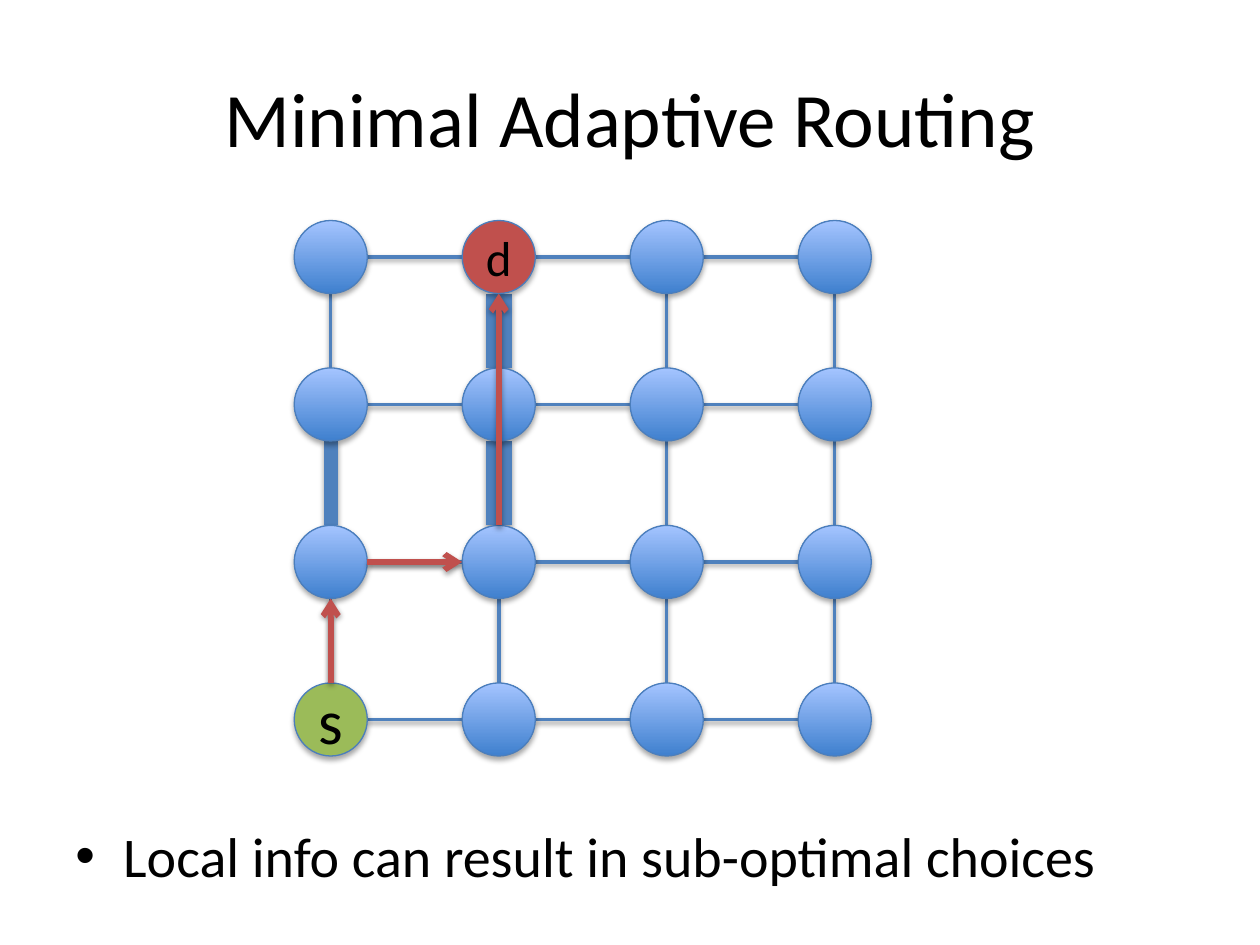
import pptx
import pptx.util
import pptx.oxml
import pptx.oxml.ns
import pptx.dml.color
import pptx.enum.shapes
import pptx.enum.text

Inches, Pt = pptx.util.Inches, pptx.util.Pt
ALIGN = pptx.enum.text.PP_ALIGN
ANCHOR = pptx.enum.text.MSO_ANCHOR

TITLE = "Minimal Adaptive Routing"
TAKEAWAY = "Local info can result in sub-optimal choices"
FONT = "Calibri"
BLACK, LINK, ROUTE, NODE_EDGE = "000000", "4F81BD", "C0504D", "4B7EBC"
NODE_GRADIENT = ("3F80CE", "A4C4FF")

COLUMN_X = [2.625 + 4 / 3 * column for column in range(4)]
ROW_Y = [2.04, 3.21, 4.46, 5.71]
DIAMETER = 0.58
RADIUS = DIAMETER / 2

ENDPOINTS = {(1, 0): ("d", 28, "C0504D"), (0, 3): ("s", 36, "9BBB59")}
CONGESTED = {((0, 1), (0, 2)): 8, ((1, 0), (1, 1)): 15, ((1, 1), (1, 2)): 15}
ROUTE_HOPS = [((0, 3), (0, 2)), ((0, 2), (1, 2)), ((1, 2), (1, 0))]


def rgb(value):
    return pptx.dml.color.RGBColor.from_string(value)


def append_xml(parent, tag, attributes="", content=""):
    namespace = pptx.oxml.ns.nsdecls("a")
    child = pptx.oxml.parse_xml(f"<a:{tag} {namespace} {attributes}>{content}</a:{tag}>")
    parent.append(child)
    return child


def add_shadow(effects, opacity, distance):
    append_xml(effects, "outerShdw",
               f'blurRad="{Pt(3.1)}" dist="{Pt(distance)}" dir="5400000" rotWithShape="0"',
               f'<a:srgbClr val="{BLACK}"><a:alpha val="{opacity * 1000}"/></a:srgbClr>')


def write(frame, text, size, align, anchor):
    frame.word_wrap = True
    frame.vertical_anchor = anchor
    paragraph = frame.paragraphs[0]
    paragraph.text = text
    paragraph.alignment = align
    font = paragraph.runs[0].font
    font.name, font.size, font.color.rgb = FONT, Pt(size), rgb(BLACK)
    return paragraph


def add_text(slide, box, text, size, align, anchor):
    frame = slide.shapes.add_textbox(*map(Inches, box)).text_frame
    return write(frame, text, size, align, anchor)


def add_bullet(paragraph):
    properties = paragraph._p.get_or_add_pPr()
    properties.set("marL", str(Inches(0.38)))
    properties.set("indent", str(-Inches(0.38)))
    append_xml(properties, "buFont", 'typeface="Arial"')
    append_xml(properties, "buChar", 'char="•"')


def add_link(slide, start, end, color, width, arrow=False):
    dx = (end[0] > start[0]) - (end[0] < start[0])
    dy = (end[1] > start[1]) - (end[1] < start[1])
    link = slide.shapes.add_connector(
        pptx.enum.shapes.MSO_CONNECTOR.STRAIGHT,
        Inches(COLUMN_X[start[0]] + dx * RADIUS), Inches(ROW_Y[start[1]] + dy * RADIUS),
        Inches(COLUMN_X[end[0]] - dx * RADIUS), Inches(ROW_Y[end[1]] - dy * RADIUS))
    link.line.color.rgb = rgb(color)
    link.line.width = Pt(width)
    properties = link._element.spPr
    if arrow:
        append_xml(properties.find(pptx.oxml.ns.qn("a:ln")), "tailEnd", 'type="arrow"')
    add_shadow(append_xml(properties, "effectLst"), 38, 1.6)


def add_node(slide, position):
    column, row = position
    node = slide.shapes.add_shape(
        pptx.enum.shapes.MSO_SHAPE.OVAL,
        Inches(COLUMN_X[column] - RADIUS), Inches(ROW_Y[row] - RADIUS),
        Inches(DIAMETER), Inches(DIAMETER))
    node.line.color.rgb = rgb(NODE_EDGE)
    node.line.width = Pt(0.75)
    if position in ENDPOINTS:
        label, size, color = ENDPOINTS[position]
        node.fill.solid()
        node.fill.fore_color.rgb = rgb(color)
        write(node.text_frame, label, size, ALIGN.CENTER, ANCHOR.MIDDLE)
    else:
        node.fill.gradient()
        node.fill.gradient_angle = 90
        for stop, color in zip(node.fill.gradient_stops, NODE_GRADIENT):
            stop.color.rgb = rgb(color)
    node.shadow.inherit = False
    add_shadow(node._element.spPr.find(pptx.oxml.ns.qn("a:effectLst")), 35, 1.8)


def main():
    deck = pptx.Presentation()
    deck.slide_width, deck.slide_height = Inches(10), Inches(7.5)
    slide = deck.slides.add_slide(deck.slide_layouts[6])

    add_text(slide, (0.5, 0.3, 9, 1.25), TITLE, 44, ALIGN.CENTER, ANCHOR.MIDDLE)
    add_bullet(add_text(slide, (0.5, 6.47, 9, 0.62), TAKEAWAY, 32, ALIGN.LEFT, ANCHOR.TOP))

    nodes = [(column, row) for row in range(len(ROW_Y)) for column in range(len(COLUMN_X))]
    for column, row in nodes:
        for neighbour in ((column + 1, row), (column, row + 1)):
            if neighbour in nodes:
                width = CONGESTED.get(((column, row), neighbour), 2)
                add_link(slide, (column, row), neighbour, LINK, width)
    for position in nodes:
        add_node(slide, position)
    for start, end in ROUTE_HOPS:
        add_link(slide, start, end, ROUTE, 3.25, arrow=True)

    deck.save("out.pptx")


if __name__ == "__main__":
    main()
